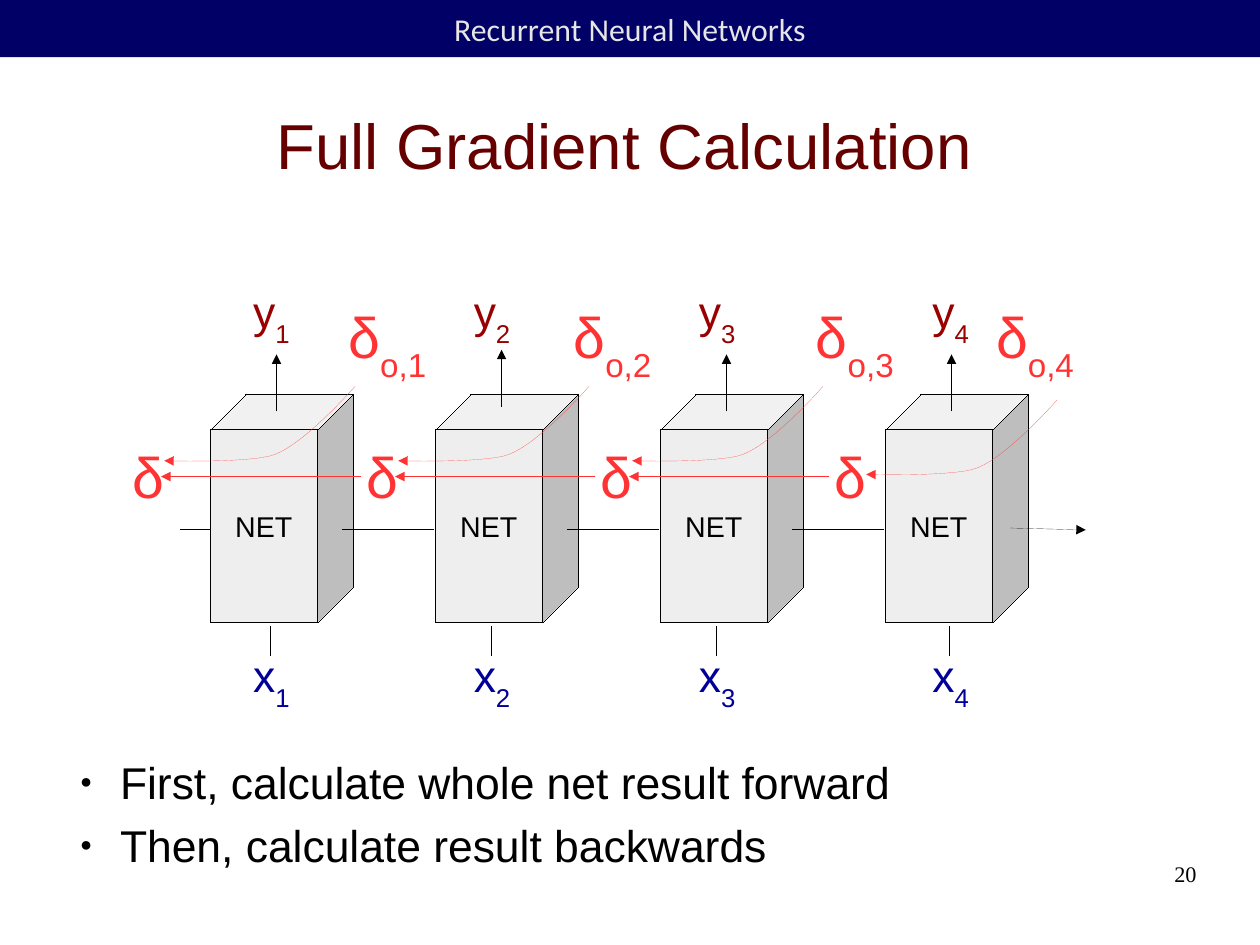
from dataclasses import dataclass

from lxml import etree
from pptx import Presentation
from pptx.dml.color import RGBColor
from pptx.enum.shapes import MSO_CONNECTOR, MSO_SHAPE
from pptx.enum.text import MSO_ANCHOR, MSO_AUTO_SIZE, PP_ALIGN
from pptx.oxml.ns import qn
from pptx.util import Pt

RECTANGLE, CUBE = MSO_SHAPE.RECTANGLE, MSO_SHAPE.CUBE
STRAIGHT = MSO_CONNECTOR.STRAIGHT
LEFT, CENTER, RIGHT = PP_ALIGN.LEFT, PP_ALIGN.CENTER, PP_ALIGN.RIGHT
TOP, MIDDLE = MSO_ANCHOR.TOP, MSO_ANCHOR.MIDDLE
FIT_TEXT = MSO_AUTO_SIZE.SHAPE_TO_FIT_TEXT
TITLE_ONLY = 5
TITLE_BOX = (36, 45, 714.2, 91.4)
MARGINS = ("margin_left", "margin_top", "margin_right", "margin_bottom")
PADDING = (7.2, 3.6, 7.2, 3.6)
NO_PADDING = (0, 0, 0, 0)


@dataclass(frozen=True)
class TextStyle:
    size: float
    color: str
    font: str = "Arial"


@dataclass(frozen=True)
class Theme:
    band: str = "000066"
    face: str = "EEEEEE"
    ink: str = "000000"
    error: str = "FF3333"
    header: TextStyle = TextStyle(20, "E6E6E6", "Calibri")
    title: TextStyle = TextStyle(40, "660000")
    net: TextStyle = TextStyle(18, "000000")
    input: TextStyle = TextStyle(28, "000099")
    output: TextStyle = TextStyle(28, "990000")
    delta: TextStyle = TextStyle(36, "FF3333")
    bullet: TextStyle = TextStyle(28, "000000")
    number: TextStyle = TextStyle(14, "000000", "Times New Roman")


@dataclass(frozen=True)
class TimeStep:
    label_left: float
    delta_left: float
    arrow_top: float = 223.2
    curve_top: float = 243.4
    takes_next_error: bool = True


THEME = Theme()
SLIDE_WIDTH, SLIDE_HEIGHT = 793.75, 595.25
NET_LEFT, NET_PITCH, NET_TOP = 132.4, 141.75, 248.4
NET_WIDTH, NET_HEIGHT = 90, 144
ERROR_LEFT, ERROR_PITCH = 76.3, 147.4
STATE_Y = 333.8
STEPS = (
    TimeStep(152.4, 212.4),
    TimeStep(291.4, 354.2, arrow_top=220.3),
    TimeStep(433.2, 506.9),
    TimeStep(580.3, 620.4, curve_top=252, takes_next_error=False),
)
# Bezier segments of an error path, measured from its upper right end.
ERROR_CURVE = (
    ((0, 0), (0, 0), (-34.9, 40), (-54, 43.9)),
    ((-54, 43.9), (-72.7, 48.2), (-120.2, 46.8), (-120.2, 46.8)),
)
CURVE_PARTS = 16
BULLETS = (
    (475.7, "First, calculate whole net result forward"),
    (515.3, "Then, calculate result backwards"),
)


def write(shape, text: str, style: TextStyle, subscript: str = "", align=LEFT,
          anchor=TOP, wrap: bool = False, padding=PADDING):
    """Fill a shape with one styled paragraph and return that paragraph."""
    frame = shape.text_frame
    frame_format = {"word_wrap": wrap, "vertical_anchor": anchor}
    frame_format.update(zip(MARGINS, map(Pt, padding)))
    for name, value in frame_format.items():
        setattr(frame, name, value)
    para = frame.paragraphs[0]
    para.alignment = align
    for part in filter(None, (text, subscript)):
        span = para.add_run()
        span.text = part
        for name, value in {"name": style.font, "size": Pt(style.size), "bold": False}.items():
            setattr(span.font, name, value)
        span.font.color.rgb = RGBColor.from_string(style.color)
    if subscript:
        span.font._element.set("baseline", "-33000")
    return para


def add_text(page, box: tuple, text: str, style: TextStyle, **layout):
    return write(page.shapes.add_textbox(*map(Pt, box)), text, style, **layout)


def add_label(page, box: tuple, text: str, style: TextStyle, subscript: str = "") -> None:
    label = page.shapes.add_textbox(*map(Pt, box))
    write(label, text, style, subscript)
    label.text_frame.auto_size = FIT_TEXT


def add_block(page, kind, box: tuple, fill: str):
    block = page.shapes.add_shape(kind, *map(Pt, box))
    block.shadow.inherit = False
    block.fill.solid()
    block.fill.fore_color.rgb = RGBColor.from_string(fill)
    return block


def style_line(shape, color: str, arrow: bool = False) -> None:
    """Give a shape a hairline, with an arrowhead at its end if wanted."""
    shape.line.color.rgb = RGBColor.from_string(color)
    outline = shape._element.spPr.find(qn("a:ln"))
    outline.set("w", "0")
    if arrow:
        etree.SubElement(outline, qn("a:tailEnd"), type="triangle")


def add_line(page, start: tuple, end: tuple, color: str = THEME.ink, arrow: bool = False) -> None:
    line = page.shapes.add_connector(STRAIGHT, *map(Pt, start + end))
    style_line(line, color, arrow)
    etree.SubElement(line._element.spPr, qn("a:effectLst"))


def bezier_point(controls: tuple, t: float) -> tuple[float, float]:
    weights = ((1 - t) ** 3, 3 * t * (1 - t) ** 2, 3 * t * t * (1 - t), t ** 3)
    x, y = (sum(w * value for w, value in zip(weights, axis)) for axis in zip(*controls))
    return x, y


def add_error_curve(page, right: float, top: float) -> None:
    points = [bezier_point(segment, part / CURVE_PARTS)
              for segment in ERROR_CURVE for part in range(1, CURVE_PARTS + 1)]
    builder = page.shapes.build_freeform(Pt(right), Pt(top))
    builder.add_line_segments([(Pt(right + x), Pt(top + y)) for x, y in points], close=False)
    curve = builder.convert_to_shape()
    curve.shadow.inherit = False
    curve.fill.background()
    style_line(curve, THEME.error, arrow=True)


def add_net(page, left: float) -> None:
    net = add_block(page, CUBE, (left, NET_TOP, NET_WIDTH, NET_HEIGHT), THEME.face)
    net.adjustments[0] = 0.25
    style_line(net, THEME.ink)
    write(net, "NET", THEME.net, align=CENTER, anchor=MIDDLE)


def add_step(page, index: int, step: TimeStep) -> None:
    """Draw the signals of one time step: input, output and errors."""
    number = str(index + 1)
    stub_x = step.label_left + 18
    add_line(page, (stub_x, 412.6), (stub_x, 394.6))
    add_label(page, (step.label_left, 404.6, 37.4, 45.4), "x", THEME.input, number)
    arrow_x = NET_LEFT + index * NET_PITCH + 41.8
    add_line(page, (arrow_x, step.arrow_top + 36), (arrow_x, step.arrow_top), arrow=True)
    add_label(page, (step.label_left, 175.7, 37.4, 45.4), "y", THEME.output, number)
    add_label(page, (step.delta_left, 186.5, 63.4, 56.2), "δ", THEME.delta, f"o,{number}")

    left = ERROR_LEFT + index * ERROR_PITCH
    add_label(page, (left, 274.5, 34.6, 47.5), "δ", THEME.delta)
    if step.takes_next_error:
        add_line(page, (left + 151.4, 300.2), (left + 25.2, 300.2), THEME.error, arrow=True)
    add_error_curve(page, left + 147.4, step.curve_top)


def add_bullet(page, top: float, text: str) -> None:
    para = add_text(page, (41.8, top, 714.2, 36), text, THEME.bullet,
                    wrap=True, padding=NO_PADDING)
    para.space_after = Pt(14.2)
    properties = para._p.get_or_add_pPr()
    properties.set("marL", str(Pt(33.8)))
    properties.set("indent", str(Pt(-25.2)))
    color = etree.SubElement(properties, qn("a:buClr"))
    etree.SubElement(color, qn("a:srgbClr"), val=THEME.ink)
    etree.SubElement(properties, qn("a:buSzPct"), val="45000")
    etree.SubElement(properties, qn("a:buFont"), typeface=THEME.bullet.font)
    etree.SubElement(properties, qn("a:buChar"), char="●")


def main() -> None:
    deck = Presentation()
    deck.slide_width, deck.slide_height = Pt(SLIDE_WIDTH), Pt(SLIDE_HEIGHT)
    page = deck.slides.add_slide(deck.slide_layouts[TITLE_ONLY])
    header = add_block(page, RECTANGLE, (0, 0, SLIDE_WIDTH, 36), THEME.band)
    header.line.fill.background()
    write(header, "Recurrent Neural Networks", THEME.header, align=CENTER, anchor=MIDDLE, wrap=True)
    title = page.shapes.title
    for name, value in zip(("left", "top", "width", "height"), TITLE_BOX):
        setattr(title, name, Pt(value))
    write(title, "Full Gradient Calculation", THEME.title, align=CENTER,
          anchor=MIDDLE, wrap=True, padding=NO_PADDING)

    for index in range(len(STEPS)):
        add_net(page, NET_LEFT + index * NET_PITCH)
    add_line(page, (113.6, STATE_Y), (131.8, STATE_Y))
    for index in range(len(STEPS) - 1):
        start = 215.7 + index * NET_PITCH
        add_line(page, (start, STATE_Y), (start + 57.2, STATE_Y))
    add_line(page, (636.5, 332.6), (684, STATE_Y), arrow=True)
    for index, step in enumerate(STEPS):
        add_step(page, index, step)
    for top, text in BULLETS:
        add_bullet(page, top, text)
    add_text(page, (568.8, 542.2, 185, 41), "20", THEME.number,
             align=RIGHT, wrap=True, padding=NO_PADDING)
    deck.save("out.pptx")


if __name__ == "__main__":
    main()
